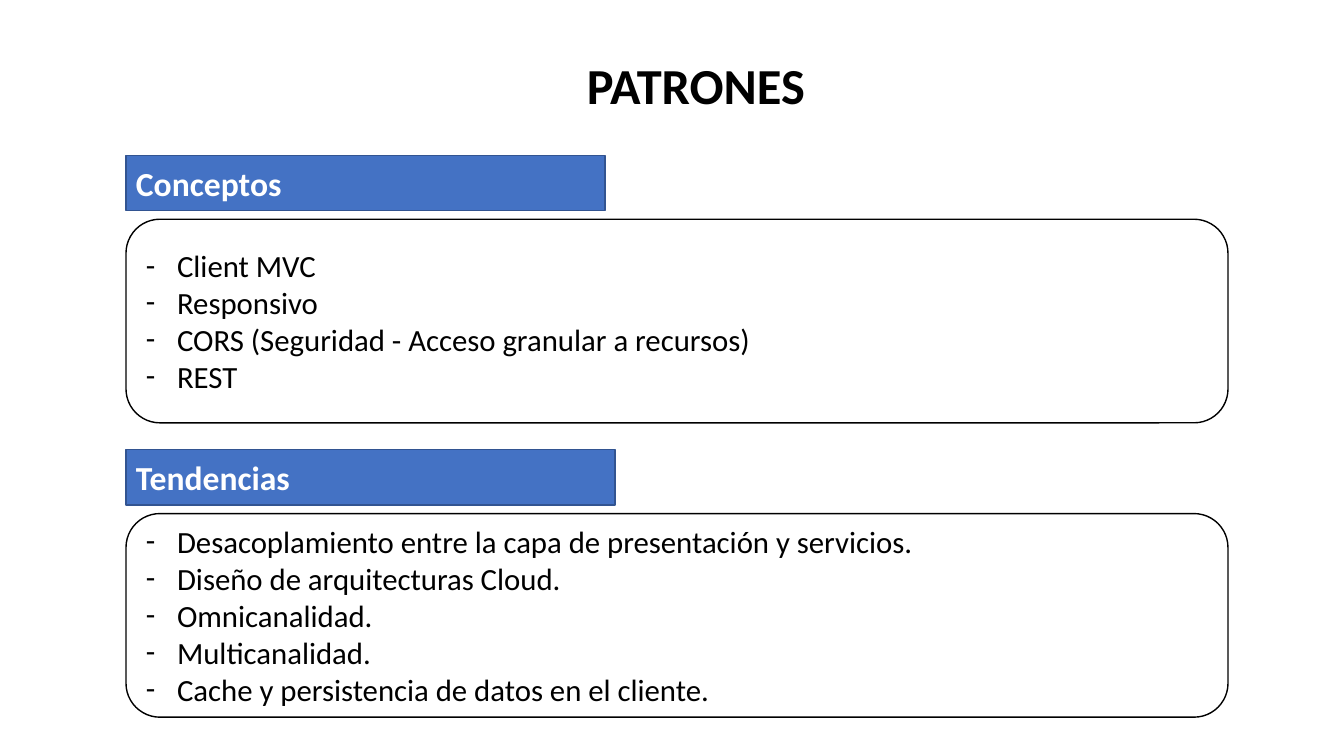
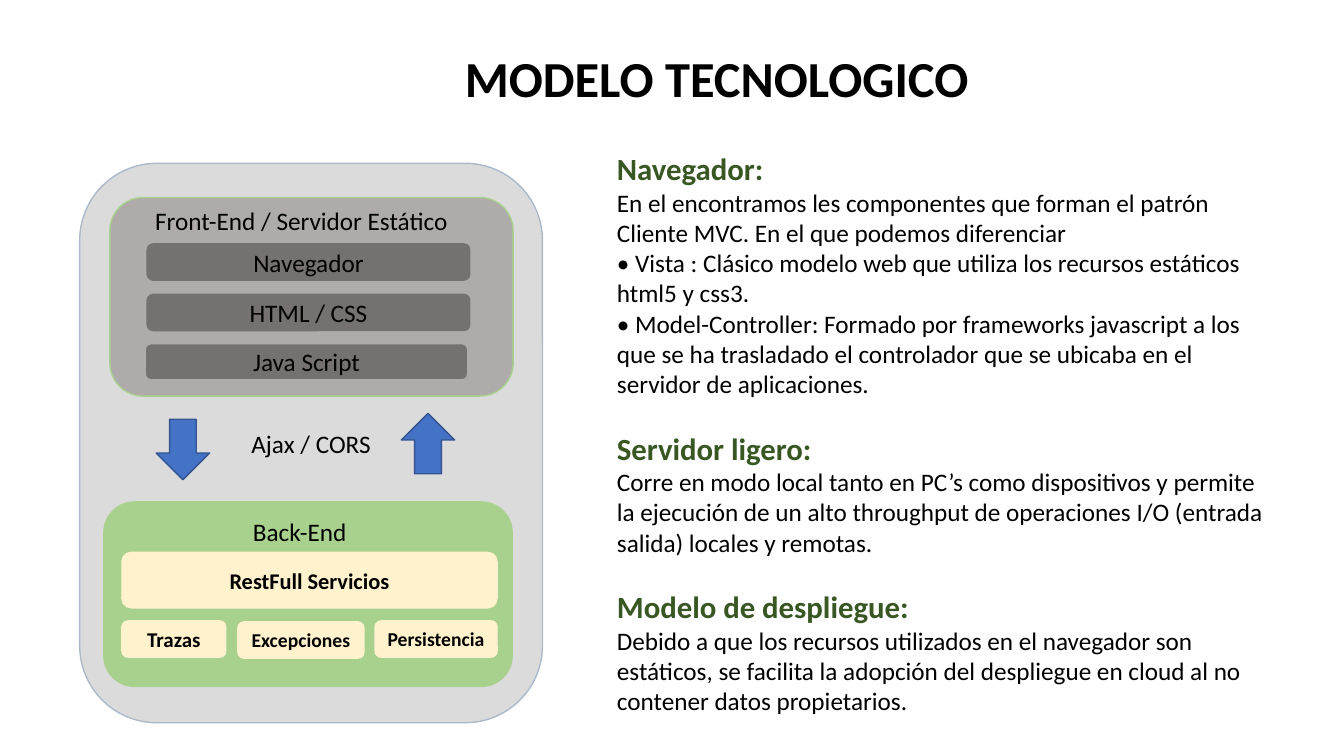
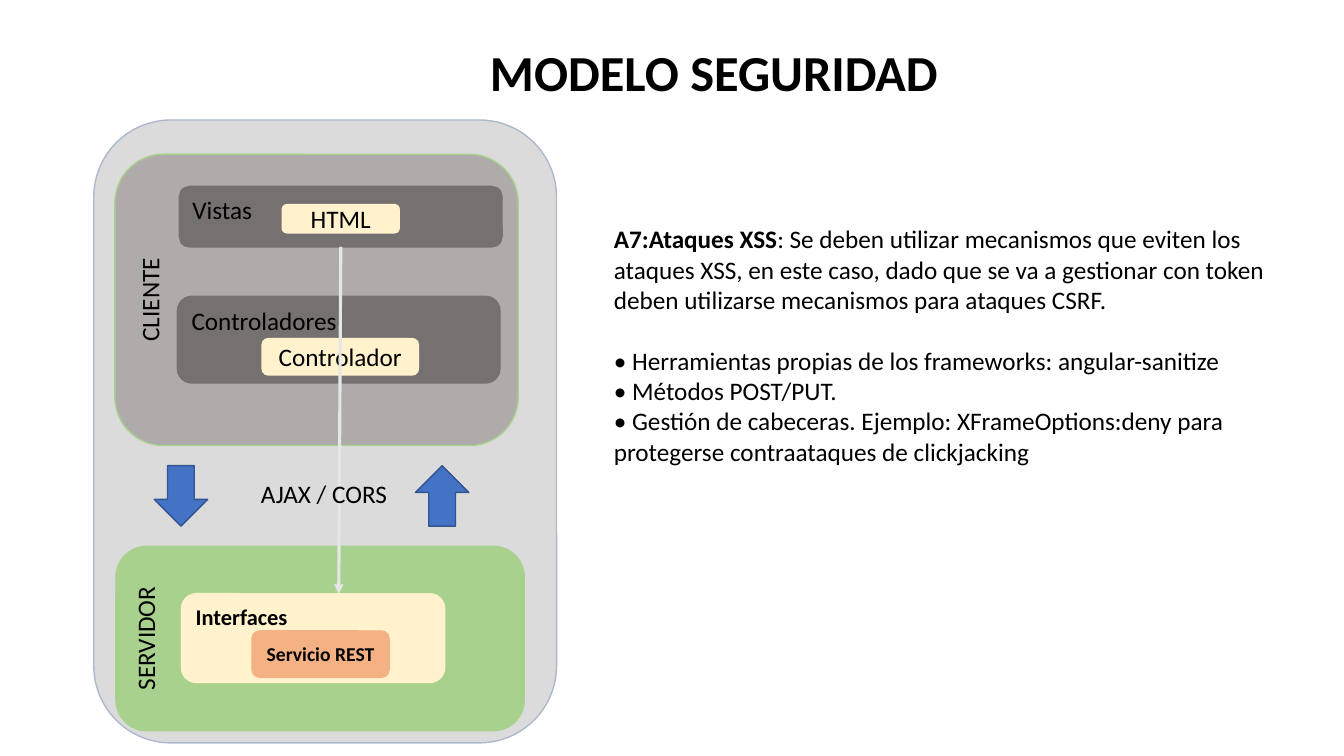
"""Build three slides on web patterns, the technology model and the security model."""
import lxml.etree
import pptx
import pptx.dml.color
import pptx.enum.shapes
import pptx.enum.text
import pptx.oxml.ns
import pptx.util

Inches, Pt = pptx.util.Inches, pptx.util.Pt
SHAPE = pptx.enum.shapes.MSO_SHAPE
ALIGN = pptx.enum.text.PP_ALIGN
ANCHOR = pptx.enum.text.MSO_ANCHOR
FIT = pptx.enum.text.MSO_AUTO_SIZE

FONT = "Calibri"
BLACK, WHITE, GREEN = "000000", "FFFFFF", "385723"
BLUE, NAVY = "4472C4", "325491"
SILVER, GRAY, DARK = "DBDBDB", "AFABAB", "767171"
LEAF, CREAM, ORANGE = "A9D18E", "FFF2CC", "F4B183"
BODY_SIZE, HEADING_SIZE, BLANK_LINE = 18, 22, 22

STYLES = {
    "header": dict(form=SHAPE.RECTANGLE, fill=BLUE, line=NAVY, size=24, bold=True, color=WHITE, align=ALIGN.LEFT),
    "panel": dict(line=BLACK, size=22, align=ALIGN.LEFT),
    "frame": dict(fill=SILVER, line="ADB9CA"),
    "client": dict(fill=GRAY, line=LEAF),
    "server": dict(fill=LEAF, line=LEAF),
    "bar": dict(fill=DARK, line=DARK),
    "script bar": dict(fill=DARK, line=GRAY),
    "view": dict(fill=DARK, line=DARK, align=ALIGN.LEFT, anchor=ANCHOR.TOP),
    "part": dict(fill=CREAM, line=CREAM),
    "service": dict(fill=CREAM, line=CREAM, size=16, bold=True),
    "trace": dict(fill=CREAM, line=CREAM, size=15, bold=True),
    "module": dict(fill=CREAM, line=CREAM, size=14, bold=True),
    "interface": dict(fill=CREAM, line=CREAM, size=16, bold=True, align=ALIGN.LEFT, anchor=ANCHOR.TOP),
    "rest": dict(fill=ORANGE, line=ORANGE, size=14, bold=True),
    "request": dict(form=SHAPE.DOWN_ARROW, fill=BLUE, line=NAVY),
    "response": dict(form=SHAPE.DOWN_ARROW, fill=BLUE, line=NAVY, turn=180),
}
STYLES["client side"] = dict(STYLES["client"], anchor=ANCHOR.TOP, vertical=True)
STYLES["server side"] = dict(STYLES["server"], anchor=ANCHOR.TOP, vertical=True)

PATTERNS_TITLE = ("PATRONES", (5.72, 0.49, 2.39, 0.71))
PATTERNS = [
    ("Conceptos", 1.54, 4.75, [
        "Client MVC",
        "Responsivo",
        "CORS (Seguridad - Acceso granular a recursos)",
        "REST",
    ]),
    ("Tendencias", 4.46, 4.85, [
        "Desacoplamiento entre la capa de presentación y servicios.",
        "Diseño de arquitecturas Cloud.",
        "Omnicanalidad.",
        "Multicanalidad.",
        "Cache y persistencia de datos en el cliente.",
    ]),
]
PATTERN_LEFT, PANEL_DROP = 1.25, 0.635

TECHNOLOGY_TITLE = ("MODELO TECNOLOGICO", (4.51, 0.42, 5.25, 0.71))
TECHNOLOGY_BLOCKS = [
    ("frame", (0.79, 1.62, 4.59, 5.55), "Ajax / CORS"),
    ("client", (1.09, 1.96, 4, 1.97), ""),
    ("bar", (1.46, 2.42, 3.2, 0.36), "Navegador"),
    ("bar", (1.46, 2.92, 3.2, 0.36), "HTML / CSS"),
    ("script bar", (1.44, 3.41, 3.2, 0.36), "Java Script"),
    ("server", (1.03, 4.98, 4.05, 1.83), ""),
    ("service", (1.21, 5.48, 3.72, 0.55), "RestFull Servicios"),
    ("trace", (1.21, 6.16, 1.03, 0.36), "Trazas"),
    ("module", (2.36, 6.17, 1.25, 0.36), "Excepciones"),
    ("module", (3.72, 6.16, 1.21, 0.36), "Persistencia"),
    ("request", (1.55, 4.16, 0.53, 0.6), ""),
    ("response", (3.98, 4.1, 0.53, 0.6), ""),
]
TECHNOLOGY_LABELS = [
    ("Front-End / Servidor Estático", (1.44, 1.99, 3.14, 0.4)),
    ("Back-End", (2.41, 5.07, 1.15, 0.4)),
]
TECHNOLOGY_AREA = (6.02, 1.44, 6.69, 5.76)
TECHNOLOGY_TOPICS = [
    ("Navegador:", [
        "En el encontramos les componentes que forman el patrón Cliente MVC. En el que podemos diferenciar",
        "• Vista : Clásico modelo web que utiliza los recursos estáticos html5 y css3.",
        "• Model-Controller: Formado por frameworks javascript a los que se ha trasladado el controlador "
        "que se ubicaba en el servidor de aplicaciones.",
    ]),
    ("Servidor ligero:", [
        "Corre en modo local tanto en PC’s como dispositivos y permite la ejecución de un alto throughput "
        "de operaciones I/O (entrada salida) locales y remotas.",
    ]),
    ("Modelo de despliegue:", [
        "Debido a que los recursos utilizados en el navegador son estáticos, se facilita la adopción del "
        "despliegue en cloud al no contener datos propietarios.",
    ]),
]

SECURITY_TITLE = ("MODELO SEGURIDAD", (4.76, 0.36, 4.69, 0.71))
SECURITY_BLOCKS = [
    ("frame", (0.93, 1.19, 4.59, 6.18), ""),
    ("client side", (1.14, 1.53, 4, 2.89), "CLIENTE"),
    ("view", (1.78, 1.85, 3.2, 0.6), "Vistas"),
    ("part", (2.8, 2.03, 1.16, 0.28), "HTML"),
    ("server side", (1.15, 5.42, 4.05, 1.83), "SERVIDOR"),
    ("interface", (1.8, 5.89, 2.61, 0.88), "Interfaces"),
    ("rest", (2.5, 6.26, 1.36, 0.46), "Servicio REST"),
    ("view", (1.76, 2.94, 3.2, 0.86), "Controladores"),
    ("part", (2.6, 3.36, 1.55, 0.36), "Controlador"),
    ("request", (1.53, 4.62, 0.53, 0.6), ""),
    ("response", (4.12, 4.62, 0.53, 0.6), ""),
]
SECURITY_FLOW = (3.38, 2.45, 3.36, 5.89)
SECURITY_LABEL = ("AJAX / CORS", (2.49, 4.7, 1.47, 0.4))
SECURITY_AREA = (5.99, 2.17, 6.69, 2.52)
SECURITY_RISK = [
    ("A7:Ataques XSS", True),
    (": Se deben utilizar mecanismos que eviten los ataques XSS, en este caso, dado que se va a gestionar "
     "con token deben utilizarse mecanismos para ataques CSRF.", False),
]
SECURITY_MEASURES = [
    "• Herramientas propias de los frameworks: angular-sanitize",
    "• Métodos POST/PUT.",
    "• Gestión de cabeceras. Ejemplo: XFrameOptions:deny para protegerse contraataques de clickjacking",
]


def rgb(color):
    return pptx.dml.color.RGBColor.from_string(color)


def inches(lengths):
    return [Inches(length) for length in lengths]


def add_element(parent, tag, **attributes):
    return lxml.etree.SubElement(parent, pptx.oxml.ns.qn(tag), **attributes)


def format_run(run, size, color=BLACK, bold=False):
    run.font.name, run.font.size, run.font.bold = FONT, Pt(size), bold
    run.font.color.rgb = rgb(color)


def format_paragraphs(frame, size, color=BLACK, bold=False, align=ALIGN.LEFT):
    for paragraph in frame.paragraphs:
        paragraph.alignment = align
        for run in paragraph.runs:
            format_run(run, size, color, bold)


def add_titled_slide(deck, title, area):
    slide = deck.slides.add_slide(deck.slide_layouts[5])
    heading = slide.shapes.title
    heading.left, heading.top, heading.width, heading.height = inches(area)
    frame = heading.text_frame
    frame.text = title
    frame.word_wrap, frame.auto_size = False, FIT.SHAPE_TO_FIT_TEXT
    frame.vertical_anchor = ANCHOR.TOP
    format_paragraphs(frame, 36, bold=True)
    return slide


def add_block(slide, role, area, text):
    style = STYLES[role]
    block = slide.shapes.add_shape(style.get("form", SHAPE.ROUNDED_RECTANGLE), *inches(area))
    block.shadow.inherit = False
    block.rotation = style.get("turn", 0)
    if "fill" in style:
        block.fill.solid()
        block.fill.fore_color.rgb = rgb(style["fill"])
    else:
        block.fill.background()
    block.line.color.rgb = rgb(style["line"])
    block.line.width = Pt(1)
    if text:
        frame = block.text_frame
        frame.text = text
        frame.word_wrap = True
        frame.vertical_anchor = style.get("anchor", ANCHOR.MIDDLE)
        if style.get("vertical"):
            frame._txBody.bodyPr.set("vert", "vert270")
        format_paragraphs(frame, style.get("size", BODY_SIZE), style.get("color", BLACK),
                          style.get("bold", False), style.get("align", ALIGN.CENTER))
    return block


def add_dashes(frame):
    for paragraph in frame.paragraphs:
        properties = paragraph._p.get_or_add_pPr()
        properties.set("marL", str(Inches(0.31)))
        properties.set("indent", str(-Inches(0.31)))
        add_element(properties, "a:buFont", typeface=FONT)
        add_element(properties, "a:buChar", char="-")


def add_label(slide, text, area):
    frame = slide.shapes.add_textbox(*inches(area)).text_frame
    frame.text = text
    frame.word_wrap, frame.auto_size = False, FIT.SHAPE_TO_FIT_TEXT
    format_paragraphs(frame, BODY_SIZE)


def add_explanation(slide, area, paragraphs):
    frame = slide.shapes.add_textbox(*inches(area)).text_frame
    frame.word_wrap = True
    for number, (gap, runs) in enumerate(paragraphs):
        paragraph = frame.add_paragraph() if number else frame.paragraphs[0]
        paragraph.space_before = Pt(gap)
        for text, size, color, bold in runs:
            run = paragraph.add_run()
            run.text = text
            format_run(run, size, color, bold)


def add_flow(slide, ends):
    flow = slide.shapes.add_connector(pptx.enum.shapes.MSO_CONNECTOR.STRAIGHT, *inches(ends))
    flow.line.color.rgb = rgb("E7E6E6")
    flow.line.width = Pt(2.25)
    add_element(flow.line._get_or_add_ln(), "a:tailEnd", type="triangle")
    add_element(flow._element.spPr, "a:effectLst")


def build_patterns(deck):
    slide = add_titled_slide(deck, *PATTERNS_TITLE)
    for name, top, width, points in PATTERNS:
        add_block(slide, "header", (PATTERN_LEFT, top, width, 0.55), name)
        panel = add_block(slide, "panel", (PATTERN_LEFT, top + PANEL_DROP, 10.93, 2.02), "\n".join(points))
        add_dashes(panel.text_frame)


def build_technology(deck):
    slide = add_titled_slide(deck, *TECHNOLOGY_TITLE)
    for block in TECHNOLOGY_BLOCKS:
        add_block(slide, *block)
    for label in TECHNOLOGY_LABELS:
        add_label(slide, *label)
    paragraphs = []
    for topic, lines in TECHNOLOGY_TOPICS:
        gap = BLANK_LINE if paragraphs else 0
        paragraphs.append((gap, [(topic, HEADING_SIZE, GREEN, True)]))
        paragraphs += [(0, [(line, BODY_SIZE, BLACK, False)]) for line in lines]
    add_explanation(slide, TECHNOLOGY_AREA, paragraphs)


def build_security(deck):
    slide = add_titled_slide(deck, *SECURITY_TITLE)
    for block in SECURITY_BLOCKS:
        add_block(slide, *block)
    add_flow(slide, SECURITY_FLOW)
    add_label(slide, *SECURITY_LABEL)
    paragraphs = [(0, [(text, BODY_SIZE, BLACK, bold) for text, bold in SECURITY_RISK])]
    for number, measure in enumerate(SECURITY_MEASURES):
        paragraphs.append((0 if number else BLANK_LINE, [(measure, BODY_SIZE, BLACK, False)]))
    add_explanation(slide, SECURITY_AREA, paragraphs)


deck = pptx.Presentation()
deck.slide_width, deck.slide_height = Inches(13.33), Inches(7.5)
build_patterns(deck)
build_technology(deck)
build_security(deck)
deck.save("out.pptx")
